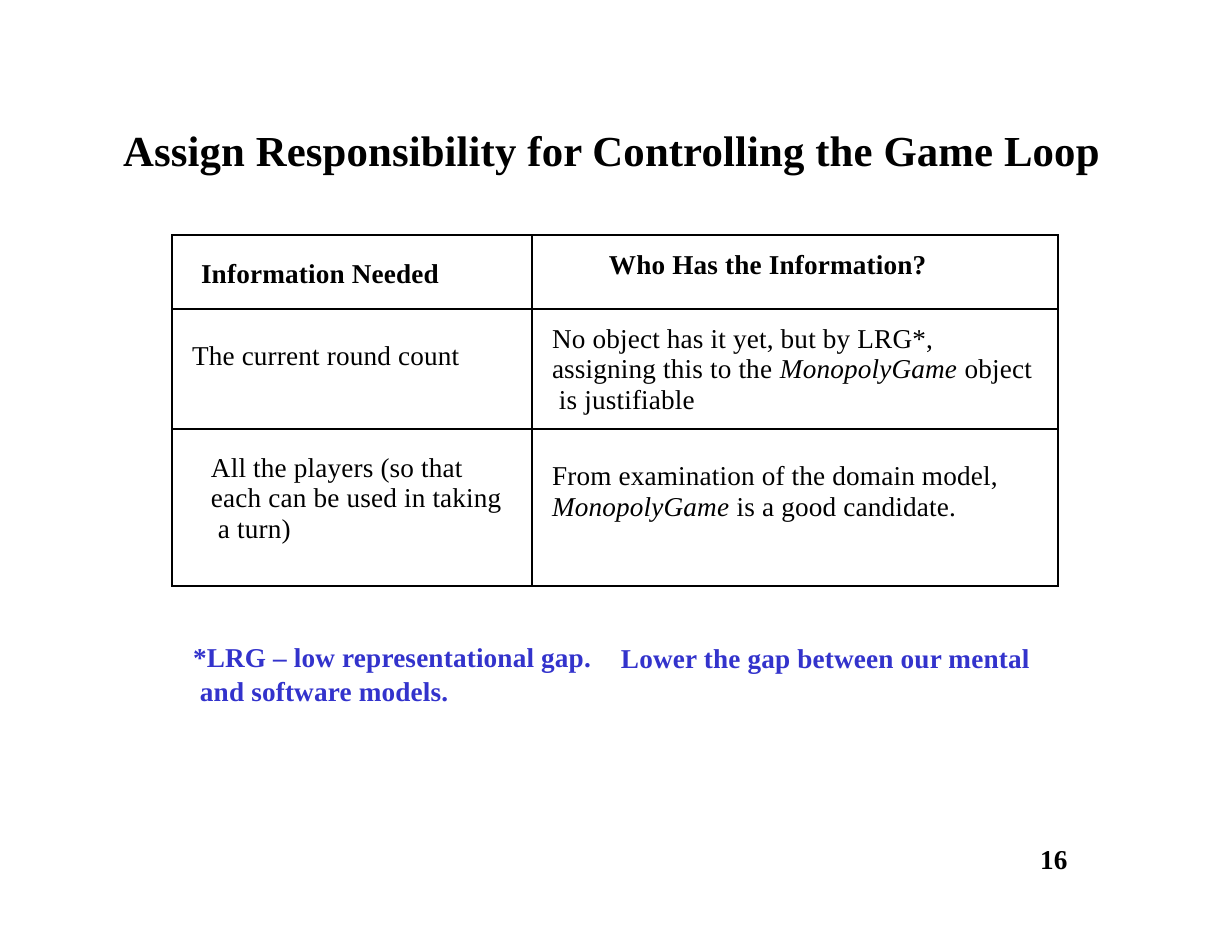
from lxml import etree
from pptx import Presentation
from pptx.dml.color import RGBColor
from pptx.enum.text import MSO_ANCHOR, MSO_AUTO_SIZE, PP_ALIGN
from pptx.oxml.ns import qn
from pptx.util import Emu, Pt

BLACK = RGBColor(0x00, 0x00, 0x00)
BLUE = RGBColor(0x33, 0x33, 0xCC)
FONT = "Times New Roman"
BODY_SIZE = 17.5
TITLE_SIZE = 27.5
TOP = MSO_ANCHOR.TOP
FIT = MSO_AUTO_SIZE.SHAPE_TO_FIT_TEXT
LEFT, CENTER = PP_ALIGN.LEFT, PP_ALIGN.CENTER
CLASS_NAME = "MonopolyGame "
COLUMNS = [360, 526]
ROWS = [74, 120, 157]

HEADER = [
    dict(lines=["Information Needed"], top=24, indent=29, bold=True),
    dict(lines=["Who Has the Information?"], top=15, right=54, align=CENTER, bold=True),
]
NEEDS = [
    [
        dict(lines=["The current round count"], top=32, indent=20),
        dict(lines=["No object has it yet, but by LRG*,\vassigning this to the "
                    "MonopolyGame object\v is justifiable"],
             top=15, indent=20, spacing=1.01),
    ],
    [
        dict(lines=["All the players (so that\veach can be used in taking\v a turn)"],
             top=24, indent=39, spacing=1.01),
        dict(lines=["From examination of the domain model,",
                    "MonopolyGame is a good candidate."], top=32, indent=20),
    ],
]


def px(length):
    return Emu(round(length * 914400 / 112))


def format_runs(paragraph, size, color, bold):
    for run in paragraph.runs:
        run.font.name = FONT
        run.font.size = Pt(size)
        run.font.bold = bold
        run.font.italic = run.text == CLASS_NAME
        run.font.color.rgb = color
        run.font._element.set("spc", "10")


def split_class_name(paragraph):
    for run in list(paragraph.runs):
        before, name, after = run.text.partition(CLASS_NAME)
        if not name:
            continue
        run.text = before or name
        anchor = run._r
        for part in ([name, after] if before else [after]):
            added = paragraph.add_run()
            added.text = part
            anchor.addnext(added._r)
            anchor = added._r


def write(frame, lines, size=BODY_SIZE, color=BLACK, bold=False,
          indent=0, align=LEFT, spacing=None):
    frame.text = "\n".join(lines)
    for number, paragraph in enumerate(frame.paragraphs):
        split_class_name(paragraph)
        properties = paragraph._p.get_or_add_pPr()
        properties.set("marL", str(px(indent)))
        properties.set("indent", "0")
        paragraph.alignment = align
        paragraph.space_before = Pt(0.8 if number else 0)
        if spacing:
            paragraph.line_spacing = spacing
        format_runs(paragraph, size, color, bold)


def fit_box(shape, box, lines, top=0, **style):
    shape.left, shape.top, shape.width, shape.height = map(px, box)
    frame = shape.text_frame
    frame.margin_left = frame.margin_right = frame.margin_bottom = 0
    frame.margin_top = px(top)
    frame.vertical_anchor = TOP
    frame.word_wrap = True
    frame.auto_size = FIT
    write(frame, lines, **style)


def add_text(slide, box, lines, **style):
    shape = slide.shapes.add_textbox(*map(px, box))
    fit_box(shape, box, lines, bold=True, **style)


def add_borders(cell):
    properties = cell._tc.get_or_add_tcPr()
    for position, side in enumerate(("lnL", "lnR", "lnT", "lnB")):
        line = etree.Element(qn(f"a:{side}"), w=str(Pt(1)))
        fill = etree.SubElement(line, qn("a:solidFill"))
        etree.SubElement(fill, qn("a:srgbClr"), val=str(BLACK))
        properties.insert(position, line)


def fill_cell(cell, lines, top, right=0, **style):
    cell.margin_left = cell.margin_bottom = 0
    cell.margin_top, cell.margin_right = px(top), px(right)
    cell.vertical_anchor = TOP
    cell.fill.background()
    add_borders(cell)
    write(cell.text_frame, lines, **style)


def add_information_table(slide, left, top):
    box = (left, top, sum(COLUMNS), sum(ROWS))
    table = slide.shapes.add_table(len(ROWS), len(COLUMNS), *map(px, box)).table
    table.horz_banding = False
    table.first_row = False
    for column, width in zip(table.columns, COLUMNS):
        column.width = px(width)
    for row, height, contents in zip(table.rows, ROWS, [HEADER, *NEEDS]):
        row.height = px(height)
        for cell, content in zip(row.cells, contents):
            fill_cell(cell, **content)


def add_footnote(slide, left, top):
    add_text(slide, (left, top, 403, 71),
             ["*LRG – low representational gap.\v and software models."],
             top=2, indent=1, spacing=1.04, color=BLUE)
    add_text(slide, (left + 428, top, 413, 37),
             ["Lower the gap between our mental"],
             top=4, indent=1, color=BLUE)


def main():
    deck = Presentation()
    deck.slide_width, deck.slide_height = px(1232), px(952)
    slide = deck.slides.add_slide(deck.slide_layouts[5])
    fit_box(slide.shapes.title, (122, 120, 980, 55),
            ["Assign Responsibility for Controlling the Game Loop"],
            top=4, size=TITLE_SIZE, bold=True, indent=1)
    add_information_table(slide, 172, 235)
    add_footnote(slide, 192, 637)
    add_text(slide, (1036, 843, 37, 34), ["16"], indent=4, spacing=Pt(20.4))
    deck.save("out.pptx")


if __name__ == "__main__":
    main()
